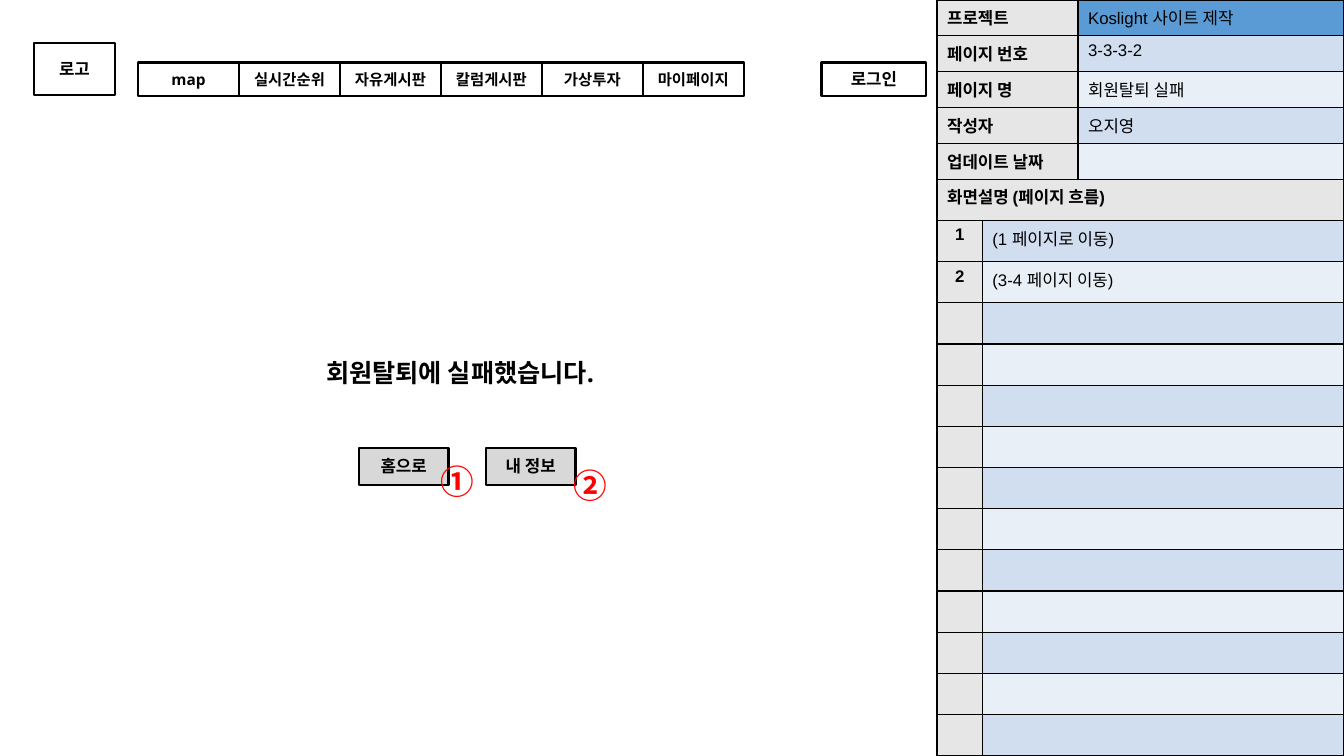
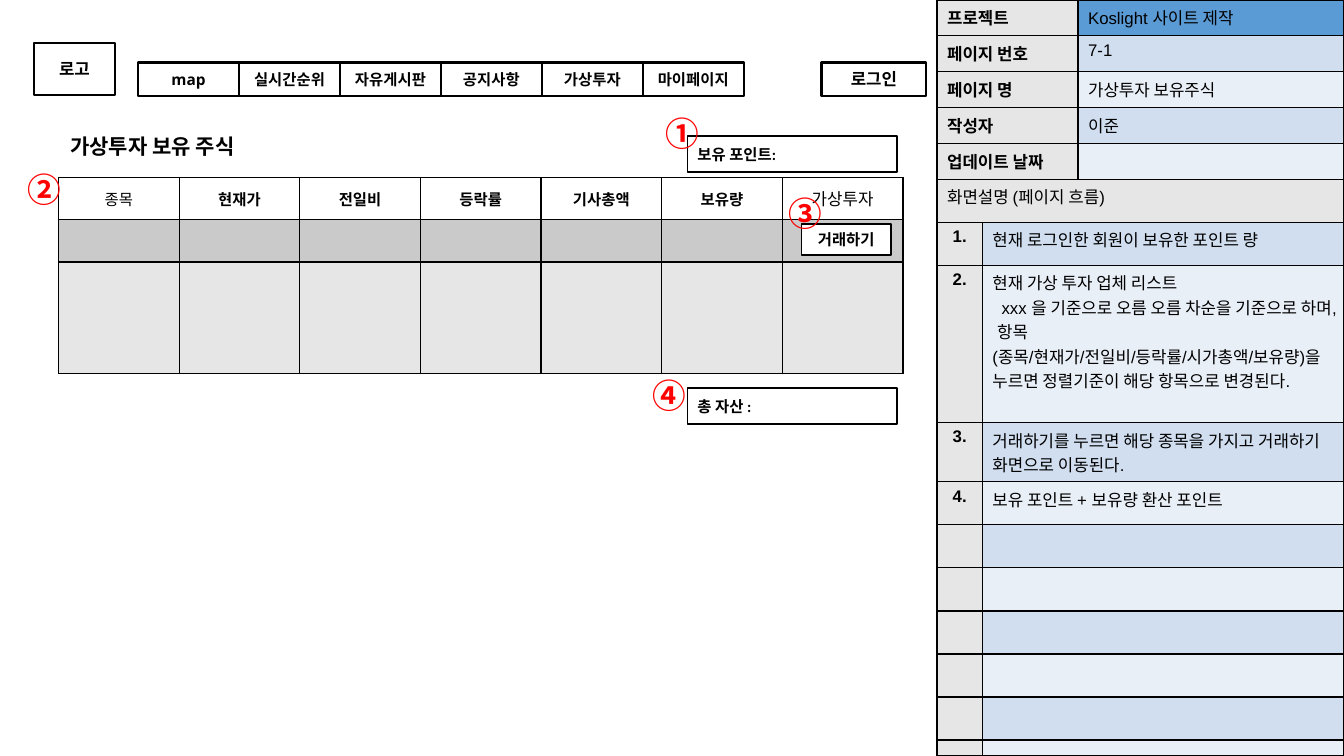
from lxml.etree import SubElement as Sub
from pptx import Presentation
from pptx.dml.color import RGBColor as RGB
from pptx.enum.shapes import MSO_SHAPE as SHAPE
from pptx.enum.text import MSO_ANCHOR as ANCHOR, PP_ALIGN as ALIGN
from pptx.oxml.ns import qn
from pptx.util import Emu, Inches, Pt

WIDE, HIGH = Inches(13.333), Inches(7.5)
INK = {"black": "000000", "white": "FFFFFF", "red": "FF0000", "blue": "5B9BD5",
       "band": "D0DEEF", "pale": "E9EFF7", "label": "E7E6E6",
       "button": "D8D8D8", "dark": "CACACA"}
HANGUL = "Noto Sans CJK KR"
PANEL, SPLIT = (69.72, 30.28), 23.73
NAV, STEP = (10.28, 8.27), 7.51
BUTTON = (6.68, 4.93)
FIELD = (15.6, 4.8)


def place(left, top, wide, high):
    """Turn percentages of the slide into a position and a size."""
    return [Emu(int(full * part / 100)) for full, part in
            zip((WIDE, HIGH, WIDE, HIGH), (left, top, wide, high))]


def paint(fill, name):
    """Fill with a named colour."""
    fill.solid()
    fill.fore_color.rgb = RGB.from_string(INK[name])


def write(para, text, size=12, face="Arial", bold=False, ink="black", align=ALIGN.LEFT):
    """Add one run of text to a paragraph."""
    para.alignment = align
    run = para.add_run()
    run.text = text
    font = run.font
    font.size, font.name, font.bold = Pt(size), face, bold
    font.color.rgb = RGB.from_string(INK[ink])
    Sub(font._element, qn("a:ea"), typeface=HANGUL)


def label(slide, spot, text, anchor=ANCHOR.MIDDLE, **style):
    """Add a text box holding one line."""
    frame = slide.shapes.add_textbox(*place(*spot)).text_frame
    frame.word_wrap = True
    frame.vertical_anchor = anchor
    write(frame.paragraphs[0], text, bold=True, **style)


def box(slide, spot, text, fill=None, line=1.5, size=12, face="Open Sans", align=ALIGN.CENTER):
    """Add an outlined rectangle with bold text."""
    shape = slide.shapes.add_shape(SHAPE.RECTANGLE, *place(*spot))
    shape.shadow.inherit = False
    if fill:
        paint(shape.fill, fill)
    else:
        shape.fill.background()
    shape.line.color.rgb = RGB.from_string(INK["black"])
    shape.line.width = Pt(line)
    frame = shape.text_frame
    frame.word_wrap = True
    frame.vertical_anchor = ANCHOR.MIDDLE
    write(frame.paragraphs[0], text, size, face, True, align=align)


def marks(slide, spots):
    """Add the red circled numbers in order."""
    for sign, spot in zip("①②③④", spots):
        label(slide, (*spot, 4.5, 6.67), sign, ANCHOR.TOP, size=24, face=HANGUL, ink="red")


def grid(slide, spot, cols, rows):
    """Add a plain table whose columns and rows share its size by weight."""
    left, top, wide, high = place(*spot)
    table = slide.shapes.add_table(len(rows), len(cols), left, top, wide, high).table
    table.first_row = table.horz_banding = False
    for col, part in zip(table.columns, cols):
        col.width = Emu(int(wide * part / sum(cols)))
    for row, part in zip(table.rows, rows):
        row.height = Emu(int(high * part / sum(rows)))
    return table


def cell(table, row, col, fill, text="", **style):
    """Border, fill and write one table cell."""
    item = table.cell(row, col)
    props = item._tc.get_or_add_tcPr()
    for side in ("lnL", "lnR", "lnT", "lnB"):
        edge = Sub(props, qn(f"a:{side}"), w=str(Pt(1)))
        Sub(Sub(edge, qn("a:solidFill")), qn("a:srgbClr"), val=INK["black"])
    paint(item.fill, fill)
    frame = item.text_frame
    if not text:
        item.margin_top = item.margin_bottom = 0
        Sub(frame.paragraphs[0]._p, qn("a:endParaRPr"), sz="600")
        return item
    for num, line in enumerate(text.split("\n")):
        para = frame.add_paragraph() if num else frame.paragraphs[0]
        write(para, line, **style)
        if num:
            para._p.get_or_add_pPr().set("indent", str(Inches(0.09)))
    return item


def band(row):
    """Name the fill of a banded row."""
    return "band" if row % 2 else "pale"


def info(slide, page, name, author):
    """Add the table of page facts."""
    facts = [("프로젝트", "Koslight 사이트 제작"), ("페이지 번호", page),
             ("페이지 명", name), ("작성자", author), ("업데이트 날짜", "")]
    table = grid(slide, (PANEL[0], 0, PANEL[1], SPLIT), [1.4, 2.64], [1] * len(facts))
    for row, (key, fact) in enumerate(facts):
        cell(table, row, 0, "label", key, bold=True)
        cell(table, row, 1, band(row) if row else "blue", fact)


def flow(slide, notes, rows, dot="", bold=True):
    """Add the table of numbered screen notes."""
    spot = (PANEL[0], SPLIT, PANEL[1], 100 - SPLIT)
    table = grid(slide, spot, [0.45, 3.59], rows)
    table.cell(0, 0).merge(table.cell(0, 1))
    cell(table, 0, 0, "label", "화면설명 (페이지 흐름)", bold=bold)
    cell(table, 0, 1, "label")
    for row in range(1, len(rows)):
        used = row <= len(notes)
        cell(table, row, 0, "label", f"{row}{dot}" if used else "",
             bold=True, align=ALIGN.CENTER)
        cell(table, row, 1, band(row), notes[row - 1] if used else "")


def header(slide, board):
    """Add the logo box, the menu and the login box."""
    box(slide, (2.5, 5.7, 6.08, 6.93), "로고")
    box(slide, (61.13, NAV[1], 7.8, 4.4), "로그인")
    names = ["map", "실시간순위", "자유게시판", board, "가상투자", "마이페이지"]
    for num, name in enumerate(names):
        box(slide, (NAV[0] + num * STEP, NAV[1], STEP, 4.4), name, size=11)


def stocks(slide):
    """Add the table of held stocks."""
    heads = ["종목", "현재가", "전일비", "등락률", "기사총액", "보유량", "가상투자"]
    table = grid(slide, (4.35, 23.47, 62.85, 26), [1] * len(heads), [42, 42, 37, 37, 37])
    for col, head in enumerate(heads):
        last = col == len(heads) - 1
        top = cell(table, 0, col, "white", head, size=12 if last else 11,
                   bold=0 < col and not last, align=ALIGN.CENTER)
        top.vertical_anchor = ANCHOR.MIDDLE
        cell(table, 1, col, "dark")
        table.cell(2, col).merge(table.cell(4, col))
        for row in (2, 3, 4):
            cell(table, row, col, "label")


def failure(slide):
    """Build the page for a failed withdrawal."""
    info(slide, "3-3-3-2", "회원탈퇴 실패", "오지영")
    flow(slide, ["(1 페이지로 이동)", "(3-4 페이지 이동)"], [1] * 14)
    label(slide, (17.55, 46.8, 33.38, 4.93), "회원탈퇴에 실패했습니다.",
          size=18, face="Open Sans", align=ALIGN.CENTER)
    for left, text in ((26.7, "홈으로"), (36.15, "내 정보")):
        box(slide, (left, 59.2, *BUTTON), text, "button")
    marks(slide, [(32.03, 60.27), (41.93, 60.8)])
    header(slide, "칼럼게시판")


def holding(slide):
    """Build the page of held stocks."""
    info(slide, "7-1", "가상투자 보유주식", "이준")
    notes = ["현재 로그인한 회원이 보유한 포인트 량",
             "현재 가상 투자 업체 리스트\nxxx 을 기준으로 오름 오름 차순을 기준으로 하며, 항목"
             "(종목/현재가/전일비/등락률/시가총액/보유량)을 누르면 정렬기준이 해당 항목으로 변경된다.",
             "거래하기를 누르면 해당 종목을 가지고 거래하기 화면으로 이동된다.",
             "보유 포인트 + 보유량 환산 포인트"]
    flow(slide, notes, [1, 1, 3.65, 1.38] + [1] * 6 + [0.37], ".", False)
    label(slide, (4.5, 16.8, 18.08, 4.93), "가상투자 보유 주식", size=15, face="Open Sans")
    stocks(slide)
    plain = {"fill": "white", "line": 1.25, "size": 11, "face": "Calibri"}
    for top, text in ((18, "보유 포인트:"), (51.33, "총 자산 :")):
        box(slide, (51.15, top, *FIELD), text, align=ALIGN.LEFT, **plain)
    box(slide, (59.63, 29.6, BUTTON[0], 4.13), "거래하기", **plain)
    marks(slide, [(48.75, 14.27), (1.28, 21.73), (57.9, 24.8), (47.78, 48.93)])
    header(slide, "공지사항")


def main():
    """Build both pages and save them."""
    deck = Presentation()
    deck.slide_width, deck.slide_height = WIDE, HIGH
    for build in (failure, holding):
        build(deck.slides.add_slide(deck.slide_layouts[6]))
    deck.save("out.pptx")


if __name__ == "__main__":
    main()
